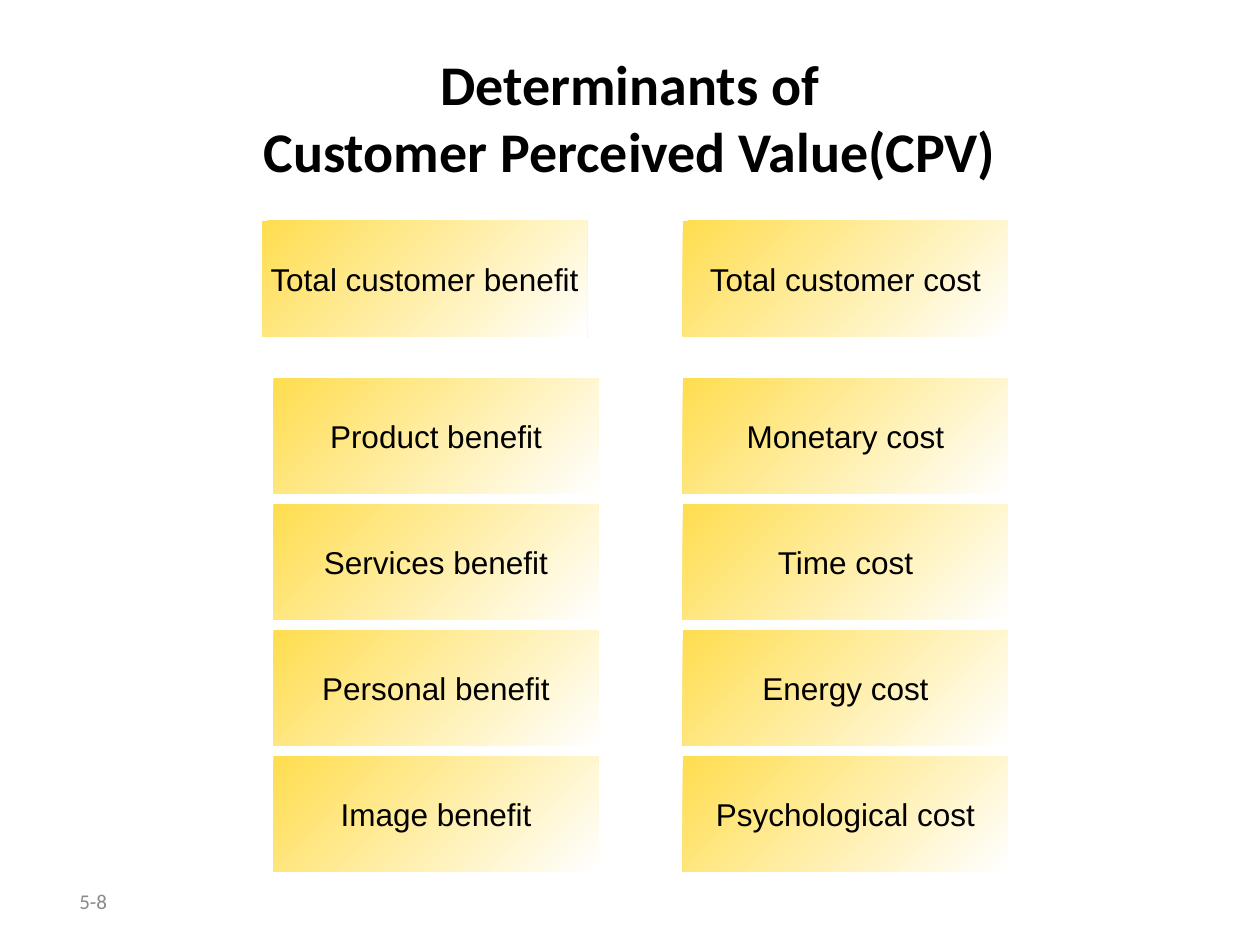
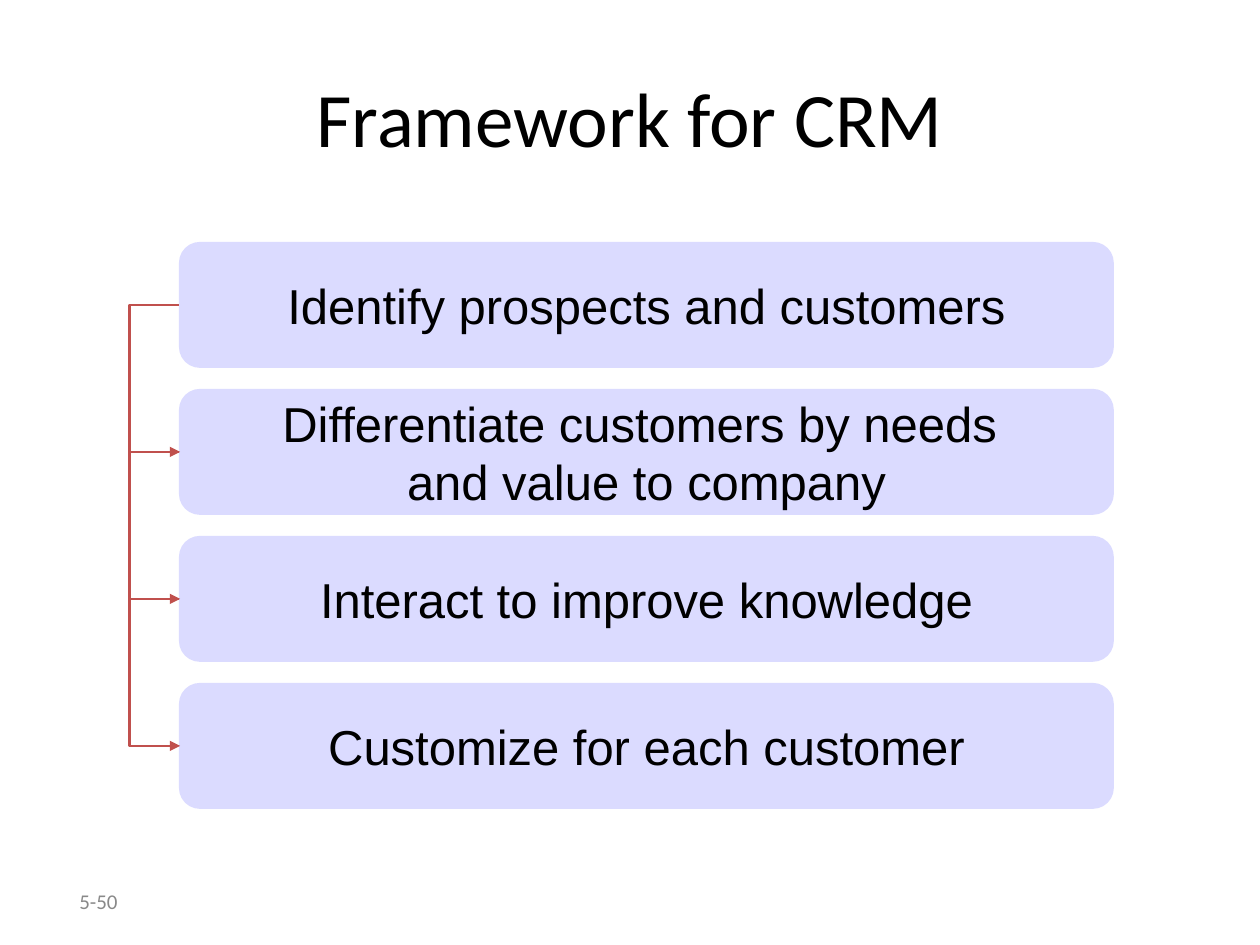
"""Build two slides on customer value: perceived-value determinants and a CRM framework."""
from dataclasses import dataclass

from lxml.etree import SubElement
from pptx import Presentation
from pptx.dml.color import RGBColor
from pptx.enum.shapes import MSO_CONNECTOR, MSO_SHAPE
from pptx.enum.text import MSO_ANCHOR, MSO_AUTO_SIZE, PP_ALIGN
from pptx.oxml.ns import qn
from pptx.util import Inches, Pt


@dataclass(frozen=True)
class Theme:
    black: RGBColor = RGBColor.from_string("000000")
    grey: RGBColor = RGBColor.from_string("898989")
    white: RGBColor = RGBColor.from_string("FFFFFF")
    gold: RGBColor = RGBColor.from_string("FFDD4F")
    lavender: RGBColor = RGBColor.from_string("DBDBFF")
    red: RGBColor = RGBColor.from_string("C0504D")
    heading_font: str = "Calibri"
    box_font: str = "Arial"
    title_size: int = 44
    long_title_size: int = 32
    box_size: int = 18
    step_size: int = 28
    number_size: int = 12


theme = Theme()


def write_text(shape, text, alignment=PP_ALIGN.CENTER, wrap=True, **font_format):
    frame = shape.text_frame
    frame.text = text
    frame.word_wrap = wrap
    frame.auto_size = MSO_AUTO_SIZE.NONE
    frame.vertical_anchor = MSO_ANCHOR.MIDDLE
    color = font_format.pop("color", theme.black)
    for paragraph in frame.paragraphs:
        paragraph.alignment = alignment
        for run in paragraph.runs:
            run.font.color.rgb = color
            for name, value in font_format.items():
                setattr(run.font, name, value)


def add_box(slide, kind, text, left, top, width, height, size):
    shape = slide.shapes.add_shape(
        kind, Inches(left), Inches(top), Inches(width), Inches(height))
    shape.shadow.inherit = False
    shape.line.fill.background()
    write_text(shape, text, wrap=False, name=theme.box_font, size=Pt(size))
    return shape


presentation = Presentation()
presentation.slide_width = Inches(10)
presentation.slide_height = Inches(7.5)

headings = [
    ("Determinants of\vCustomer Perceived Value(CPV)", theme.long_title_size, True, "5-8"),
    ("Framework for CRM", theme.title_size, False, "5-50"),
]
for heading, size, bold, number in headings:
    slide = presentation.slides.add_slide(presentation.slide_layouts[5])
    title = slide.shapes.title
    title.left, title.top = Inches(0.5), Inches(0.3)
    title.width, title.height = Inches(9), Inches(1.25)
    write_text(title, heading, name=theme.heading_font, size=Pt(size), bold=bold)
    page_number = slide.shapes.add_textbox(
        Inches(0.5), Inches(6.95), Inches(2.33), Inches(0.4))
    write_text(page_number, number, PP_ALIGN.LEFT, name=theme.heading_font,
               size=Pt(theme.number_size), color=theme.grey)
    page_number.text_frame.margin_left = Inches(0.13)

value_slide, framework_slide = presentation.slides

columns = [
    (2.08, 2.17, "Total customer benefit",
     ["Product benefit", "Services benefit", "Personal benefit", "Image benefit"]),
    (5.42, 5.42, "Total customer cost",
     ["Monetary cost", "Time cost", "Energy cost", "Psychological cost"]),
]
for total_left, part_left, total, parts in columns:
    cells = [(total, total_left, 1.75)]
    cells += [(part, part_left, 3 + row) for row, part in enumerate(parts)]
    for text, left, top in cells:
        box = add_box(value_slide, MSO_SHAPE.RECTANGLE, text, left, top,
                      2.58, 0.92, theme.box_size)
        box.fill.gradient()
        box.fill.gradient_angle = 315
        for stop, color in zip(box.fill.gradient_stops, (theme.gold, theme.white)):
            stop.color.rgb = color

steps = [
    "Identify prospects and customers",
    "Differentiate customers by needs \nand value to company",
    "Interact to improve knowledge",
    "Customize for each customer",
]
step_left, step_top, step_height, step_pitch = 1.42, 1.92, 1, 3.5 / 3
for row, step in enumerate(steps):
    box = add_box(framework_slide, MSO_SHAPE.ROUNDED_RECTANGLE, step, step_left,
                  step_top + row * step_pitch, 7.42, step_height, theme.step_size)
    box.fill.solid()
    box.fill.fore_color.rgb = theme.lavender

elbow_reach, elbow_width = 0.4, 0.01
for row in range(len(steps) - 1):
    start = step_top + step_height / 2 + row * step_pitch
    arrow = framework_slide.shapes.add_connector(
        MSO_CONNECTOR.ELBOW, Inches(step_left), Inches(start),
        Inches(step_left + elbow_width), Inches(start + step_pitch))
    arrow.line.color.rgb = theme.red
    arrow.line.width = Pt(1.5)
    SubElement(arrow.line._get_or_add_ln(), qn("a:tailEnd"), type="triangle")
    properties = arrow._element.spPr
    SubElement(properties, qn("a:effectLst"))
    adjustments = properties.find(qn("a:prstGeom")).get_or_add_avLst()
    bend = round(-elbow_reach / elbow_width * 100000)
    SubElement(adjustments, qn("a:gd"), name="adj1", fmla=f"val {bend}")

presentation.save("out.pptx")
